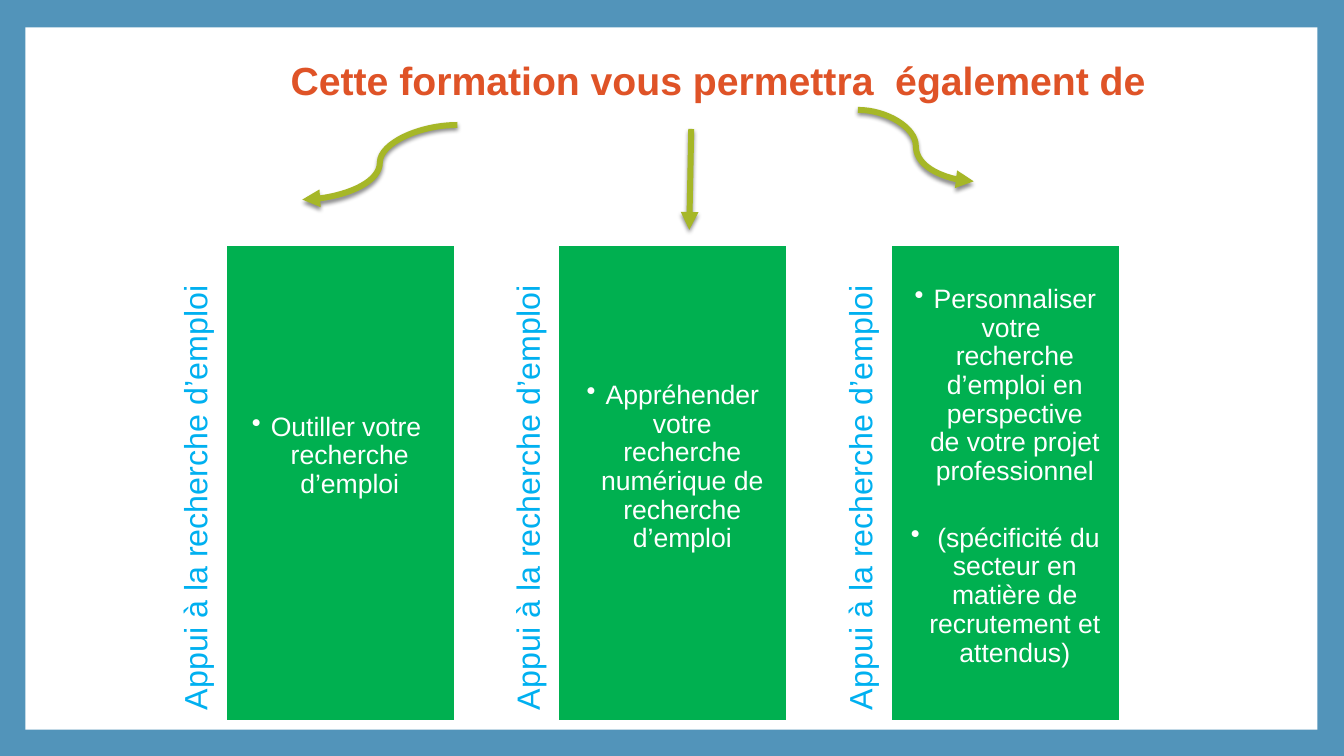
import pptx
import pptx.dml.color
import pptx.enum.shapes
import pptx.enum.text
import pptx.oxml
import pptx.oxml.ns
import pptx.util

Cm = pptx.util.Cm
Pt = pptx.util.Pt
RGBColor = pptx.dml.color.RGBColor
Align = pptx.enum.text.PP_ALIGN
Anchor = pptx.enum.text.MSO_ANCHOR
Connector = pptx.enum.shapes.MSO_CONNECTOR

BORDER_BLUE = RGBColor(0x52, 0x94, 0xBA)
WHITE = RGBColor(0xFF, 0xFF, 0xFF)
TITLE_ORANGE = RGBColor(0xDF, 0x53, 0x27)
LABEL_BLUE = RGBColor(0x00, 0xB0, 0xF0)
PANEL_GREEN = RGBColor(0x00, 0xB0, 0x50)
ARROW_OLIVE = RGBColor(0xA6, 0xB7, 0x27)

NAMESPACE = pptx.oxml.ns.nsdecls("a")
PANEL_LEFT, PANEL_TOP, PANEL_STEP = 5.69, 6.17, 8.38
PANEL_WIDTH, PANEL_HEIGHT = 5.77, 11.99
LABEL_HEIGHT, LABEL_OFFSET = 1.17, 0.58
LABEL_TEXT = "Appui à la recherche d’emploi"
PANELS = [
    (4.24, ["Outiller votre  recherche d’emploi"]),
    (3.44, ["Appréhender votre recherche numérique de recherche d’emploi"]),
    (1.02, ["Personnaliser votre  recherche d’emploi en perspective de votre projet professionnel",
            " (spécificité du secteur en matière de recrutement et attendus)"]),
]
ARROWS = [
    (Connector.CURVE, 11.53, 3.15, 7.62, 5.03),
    (Connector.CURVE, 21.62, 2.77, 24.54, 4.57),
    (Connector.STRAIGHT, 17.42, 3.25, 17.37, 5.79),
]


class SlideBuilder:
    """Draws the elements of one slide in a shared style."""

    def __init__(self, slide, font_name):
        self.slide = slide
        self.font_name = font_name

    def background(self, color):
        fill = self.slide.background.fill
        fill.solid()
        fill.fore_color.rgb = color

    def rectangle(self, left, top, width, height, color, line_width=0):
        shape = self.slide.shapes.add_shape(
            pptx.enum.shapes.MSO_SHAPE.RECTANGLE, Cm(left), Cm(top), Cm(width), Cm(height))
        shape.shadow.inherit = False
        shape.fill.solid()
        shape.fill.fore_color.rgb = color
        if line_width:
            shape.line.color.rgb = WHITE
            shape.line.width = Pt(line_width)
        else:
            shape.line.fill.background()
        return shape

    def frame(self, shape, margins):
        frame = shape.text_frame
        frame.word_wrap = True
        frame.vertical_anchor = Anchor.TOP
        (frame.margin_left, frame.margin_top,
         frame.margin_right, frame.margin_bottom) = [Cm(margin) for margin in margins]
        return frame

    def run(self, paragraph, text, size, color, bold=False):
        run = paragraph.add_run()
        run.text = text
        run.font.name = self.font_name
        run.font.size = Pt(size)
        run.font.bold = bold
        run.font.color.rgb = color

    def text_box(self, left, top, width, height, text, size, color, align,
                 margins=(0.25, 0.13, 0.25, 0.13), bold=False, spacing=1.0, rotation=0):
        shape = self.slide.shapes.add_textbox(Cm(left), Cm(top), Cm(width), Cm(height))
        shape.rotation = rotation
        paragraph = self.frame(shape, margins).paragraphs[0]
        paragraph.alignment = align
        paragraph.line_spacing = spacing
        self.run(paragraph, text, size, color, bold)

    def bullet(self, paragraph, text):
        properties = paragraph._p.get_or_add_pPr()
        properties.set("marL", str(Cm(0.48)))
        properties.set("indent", str(-Cm(0.48)))
        for xml in (f'<a:buClr {NAMESPACE}><a:srgbClr val="{WHITE}"/></a:buClr>',
                    f'<a:buChar {NAMESPACE} char="•"/>'):
            properties.append(pptx.oxml.parse_xml(xml))
        paragraph.alignment = Align.CENTER
        paragraph.line_spacing = 0.9
        self.run(paragraph, text, 19, WHITE)

    def panel(self, left, text_top, items):
        label_left = left - LABEL_OFFSET - PANEL_HEIGHT / 2
        label_top = PANEL_TOP + (PANEL_HEIGHT - LABEL_HEIGHT) / 2
        self.text_box(label_left, label_top, PANEL_HEIGHT, LABEL_HEIGHT, LABEL_TEXT, 23,
                      LABEL_BLUE, Align.RIGHT, (0, 0, 1.02, 0), spacing=0.9, rotation=270)
        shape = self.rectangle(left, PANEL_TOP, PANEL_WIDTH, PANEL_HEIGHT, PANEL_GREEN, 1.5)
        frame = self.frame(shape, (0.48, text_top, 0.48, 0.48))
        for index, item in enumerate(items):
            paragraph = frame.add_paragraph() if index else frame.paragraphs[0]
            self.bullet(paragraph, item)
            if index:
                paragraph.space_before = Pt(27)

    def arrow(self, kind, *ends):
        connector = self.slide.shapes.add_connector(kind, *[Cm(end) for end in ends])
        connector.line.color.rgb = ARROW_OLIVE
        connector.line.width = Pt(4.25)
        connector.line._get_or_add_ln().append(
            pptx.oxml.parse_xml(f'<a:tailEnd {NAMESPACE} type="triangle"/>'))
        connector._element.spPr.append(pptx.oxml.parse_xml(
            f'<a:effectLst {NAMESPACE}><a:outerShdw blurRad="{Pt(3)}" dist="{Pt(2)}" '
            'dir="5400000" rotWithShape="0"><a:srgbClr val="000000"><a:alpha val="45000"/>'
            '</a:srgbClr></a:outerShdw></a:effectLst>'))


def main():
    presentation = pptx.Presentation()
    presentation.slide_width = Cm(33.87)
    presentation.slide_height = Cm(19.05)
    builder = SlideBuilder(presentation.slides.add_slide(presentation.slide_layouts[6]), "Arial")
    builder.background(BORDER_BLUE)
    builder.rectangle(0.64, 0.69, 32.56, 17.7, WHITE)
    builder.text_box(4.8, 1.3, 26.59, 1.45, "Cette formation vous permettra  également de",
                     28, TITLE_ORANGE, Align.CENTER, bold=True)
    for index, (text_top, items) in enumerate(PANELS):
        builder.panel(PANEL_LEFT + index * PANEL_STEP, text_top, items)
    for arrow in ARROWS:
        builder.arrow(*arrow)
    presentation.save("out.pptx")


if __name__ == "__main__":
    main()
